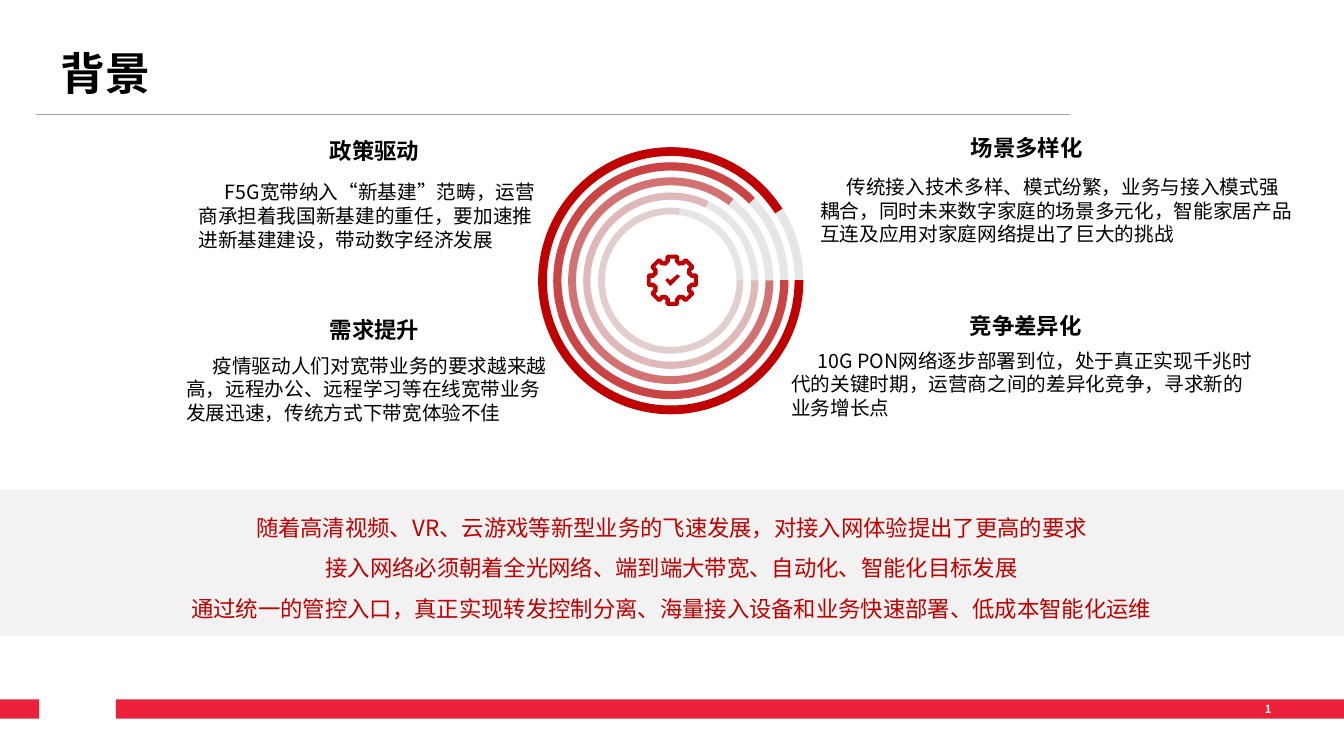
from dataclasses import dataclass
from math import cos, radians, sin

from lxml.etree import SubElement
from pptx import Presentation
from pptx.dml.color import RGBColor
from pptx.enum.shapes import MSO_CONNECTOR as Connector, MSO_SHAPE as Preset
from pptx.enum.text import MSO_ANCHOR as Anchor, PP_ALIGN as Align
from pptx.oxml.ns import qn
from pptx.util import Inches, Pt

COLORS = {
    "black": "000000", "white": "FFFFFF", "red": "C00000", "footer": "EB203B",
    "band": "F2F2F2", "track": "D0CECE", "rule": "A6A6A6",
}
FONT = "Noto Sans CJK SC"
BODY_INDENT = Pt(18.8)

deck = Presentation()
deck.slide_width, deck.slide_height = Inches(13.33), Inches(7.5)
page = deck.slides.add_slide(deck.slide_layouts[6])


@dataclass
class Area:
    """Place and size in percent of the slide's width and height."""
    left: float
    top: float
    width: float
    height: float

    def lengths(self) -> tuple[int, int, int, int]:
        return across(self.left), down(self.top), across(self.width), down(self.height)


@dataclass
class Style:
    size: float
    color: str = "black"
    bold: bool = False
    align: Align = Align.LEFT
    spacing: float = 1.0
    indent: int = 0


@dataclass
class Topic:
    heading: str
    heading_area: Area
    body: str
    body_area: Area


@dataclass
class Ring:
    track_width: float
    arc_start: float
    arc_end: float
    arc_width: float
    alpha: int


def across(share: float) -> int:
    return round(deck.slide_width * share / 100)


def down(share: float) -> int:
    return round(deck.slide_height * share / 100)


def paint(shape, color: str, alpha: int = 100) -> None:
    shape.shadow.inherit = False
    shape.line.fill.background()
    shape.fill.solid()
    shape.fill.fore_color.rgb = RGBColor.from_string(COLORS[color])
    if alpha < 100:
        tone = shape.element.spPr.find(qn("a:solidFill"))[0]
        SubElement(tone, qn("a:alpha")).set("val", str(alpha * 1000))


def add_block(preset: Preset, area: Area, color: str, alpha: int = 100):
    shape = page.shapes.add_shape(preset, *area.lengths())
    paint(shape, color, alpha)
    return shape


def add_text(text: str, area: Area, style: Style):
    box = page.shapes.add_textbox(*area.lengths())
    frame = box.text_frame
    frame.word_wrap = True
    frame.text = text
    for para in frame.paragraphs:
        para.alignment = style.align
        para.line_spacing = style.spacing
        if style.indent:
            para._p.get_or_add_pPr().set("indent", str(int(style.indent)))
        for span in para.runs:
            span.font.size = Pt(style.size)
            span.font.bold = style.bold
            span.font.name = FONT
            span.font.color.rgb = RGBColor.from_string(COLORS[style.color])
            SubElement(span.font._element, qn("a:ea")).set("typeface", FONT)
    return frame


def add_ring(ring: Ring, area: Area) -> None:
    track = add_block(Preset.DONUT, area, "track", 50)
    track.adjustments[0] = ring.track_width
    arc = add_block(Preset.BLOCK_ARC, area, "red", ring.alpha)
    for index, value in enumerate((ring.arc_start, ring.arc_end, ring.arc_width)):
        arc.adjustments[index] = value
    arc.rotation = 180
    arc.element.spPr.find(qn("a:xfrm")).set("flipH", "1")


def gear_outline(tooth: list[tuple[float, float]]) -> list[tuple[float, float]]:
    """Repeat one upward tooth eight times around the centre."""
    turns = [radians(45 * step) for step in range(8)]
    return [(x * cos(turn) + y * sin(turn), x * sin(turn) - y * cos(turn))
            for turn in turns for x, y in tooth]


def add_gear(center_x: float, center_y: float, unit: float) -> None:
    outer = [(-7, 20), (-7, 24), (-5, 26), (5, 26), (7, 24), (7, 20)]
    inner = [(-6, 15), (-2.5, 19), (-2.5, 22), (2.5, 22), (2.5, 19), (6, 15)]
    tick = [(-7, 0), (-2, 6), (8, -4), (5, -6), (-2, 0), (-5, -2)]
    contours = [
        [(across(center_x) + x * down(unit), down(center_y) + y * down(unit))
         for x, y in contour]
        for contour in (gear_outline(outer), gear_outline(inner), tick)
    ]
    builder = page.shapes.build_freeform(*contours[0][0], scale=1.0)
    for number, (first, *rest) in enumerate(contours):
        if number:
            builder.move_to(*first)
        builder.add_line_segments(rest, close=True)
    paint(builder.convert_to_shape(), "red")


# Rule, footer and page number
rule = page.shapes.add_connector(
    Connector.STRAIGHT, across(2.7), down(15.2), across(79.65), down(15.2))
rule.line.color.rgb = RGBColor.from_string(COLORS["rule"])
rule.line.width = Pt(0.75)
SubElement(rule.element.spPr, qn("a:effectLst"))
for left, width in ((0, 2.92), (8.63, 91.37)):
    add_block(Preset.RECTANGLE, Area(left, 92.53, width, 2.53), "footer")
add_text("1", Area(93.38, 92.27, 4.28, 3.2), Style(8, "white", bold=True))

# Title
title = add_text("背景", Area(4.5, 6.27, 71.18, 7.6), Style(32, bold=True, spacing=0.9))
title.vertical_anchor = Anchor.MIDDLE
title.margin_left = title.margin_right = title.margin_top = title.margin_bottom = 0

# Four topics
TOPICS = [
    Topic("政策驱动", Area(23.1, 17.47, 9.53, 4.93),
          "F5G宽带纳入“新基建”范畴，运营商承担着我国新基建的重任，要加速推进新基建建设，带动数字经济发展",
          Area(14.03, 23.2, 27.68, 10.8)),
    Topic("需求提升", Area(23.1, 41.2, 9.53, 4.93),
          "疫情驱动人们对宽带业务的要求越来越高，远程办公、远程学习等在线宽带业务发展迅速，传统方式下带宽体验不佳",
          Area(13.13, 46.13, 28.88, 10.8)),
    Topic("竞争差异化", Area(70.8, 40.67, 11.03, 4.93),
          "10G PON网络逐步部署到位，处于真正实现千兆时代的关键时期，运营商之间的差异化竞争，寻求新的业务增长点",
          Area(58.13, 45.47, 36.45, 10.8)),
    Topic("场景多样化", Area(70.95, 17.07, 10.88, 4.93),
          "传统接入技术多样、模式纷繁，业务与接入模式强耦合，同时未来数字家庭的场景多元化，智能家居产品互连及应用对家庭网络提出了巨大的挑战",
          Area(60.3, 22.53, 37.05, 10.8)),
]
for topic in TOPICS:
    add_text(topic.heading, topic.heading_area, Style(16, bold=True, align=Align.CENTER))
    add_text(topic.body, topic.body_area, Style(14, indent=BODY_INDENT))

# Concentric rings, shrinking by equal steps, around a gear
RINGS = [
    Ring(0.032, 19.72, 0.15, 0.033, 100),
    Ring(0.035, 26.76, 0.15, 0.035, 70),
    Ring(0.04, 31.57, 0.15, 0.038, 50),
    Ring(0.041, 38.84, 0.15, 0.041, 20),
    Ring(0.048, 49.87, 0.15, 0.045, 10),
]
for step, ring in enumerate(RINGS):
    ring_width, ring_height = 19.73 - 2.23 * step, 35.33 - 4 * step
    add_ring(ring, Area(49.91 - ring_width / 2, 37.13 - ring_height / 2,
                        ring_width, ring_height))
add_gear(50.03, 37.07, 0.13)

# Summary band
SUMMARY = [
    "随着高清视频、VR、云游戏等新型业务的飞速发展，对接入网体验提出了更高的要求",
    "接入网络必须朝着全光网络、端到端大带宽、自动化、智能化目标发展",
    "通过统一的管控入口，真正实现转发控制分离、海量接入设备和业务快速部署、低成本智能化运维",
]
add_block(Preset.RECTANGLE, Area(0, 64.8, 100, 19.33), "band")
add_text("\n".join(SUMMARY), Area(11.55, 65.6, 76.88, 16.93),
         Style(16, "red", align=Align.CENTER, spacing=1.5))

deck.save("out.pptx")
